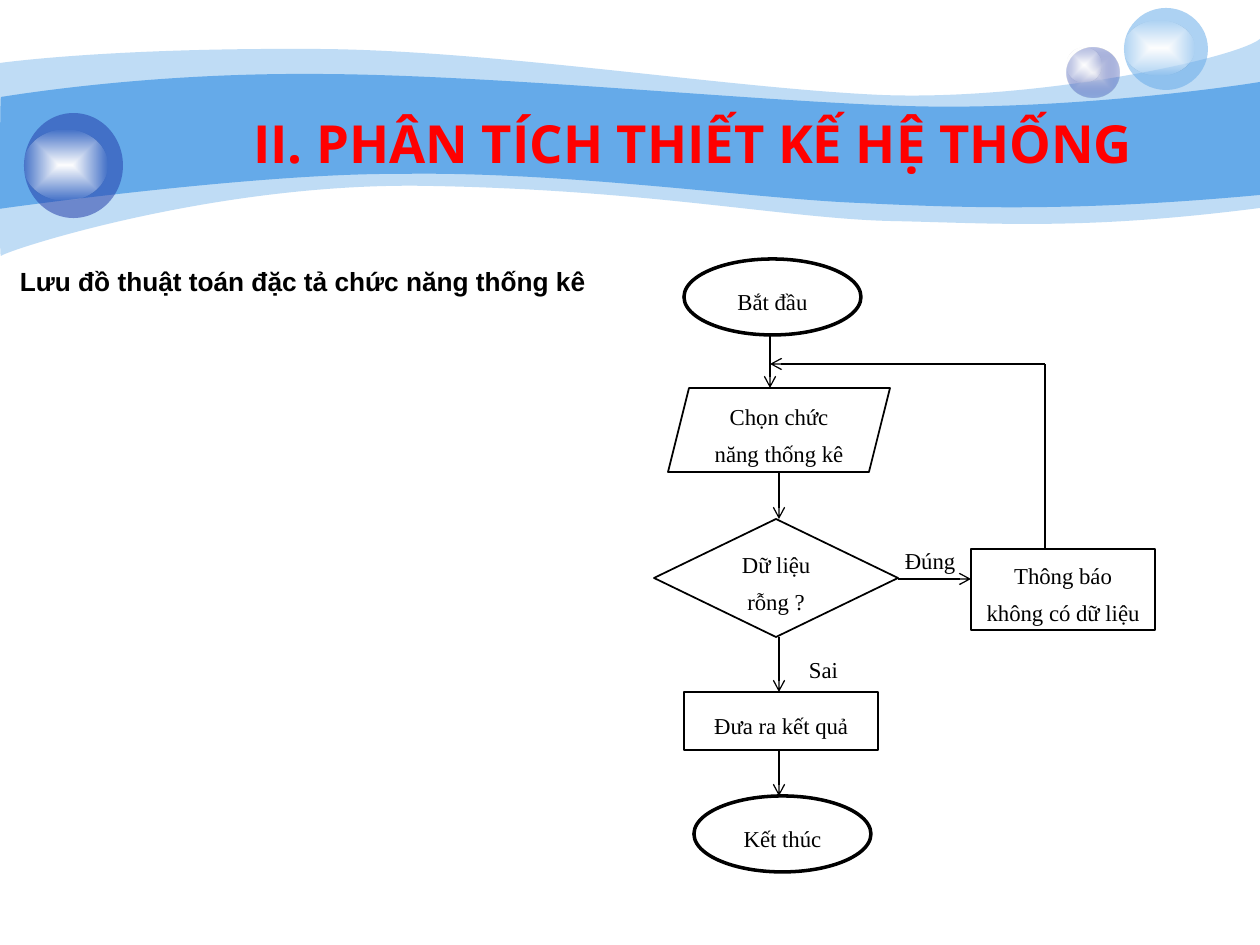
from pptx import Presentation
from pptx.dml.color import RGBColor
from pptx.enum.shapes import MSO_CONNECTOR as LINK, MSO_SHAPE as SHAPE
from pptx.enum.text import MSO_ANCHOR as ANCHOR, PP_ALIGN as ALIGN
from pptx.oxml import parse_xml
from pptx.oxml.ns import nsdecls, qn
from pptx.util import Pt
from lxml.etree import SubElement

SCALE = 914400 / 126
COLORS = {
    "sky": "65AAE9", "navy": "233DA9", "pearl": "E1E2ED",
    "white": "FFFFFF", "black": "000000", "red": "FF0000",
}
BACK_WAVE = [
    [(0, 63), (30, 59), (135, 48), (311, 49), (486, 49), (725, 88), (881, 95),
     (1036, 101), (1235, 59), (1260, 39)],
    [(1260, 208), (1081, 231), (992, 223), (888, 221), (784, 218), (649, 190),
     (432, 186), (217, 181), (5, 251), (1, 256), (-1, 262), (0, 95), (0, 63)],
]
FRONT_WAVE = [
    [(1, 97), (3, 97), (139, 73), (312, 74), (486, 74), (750, 101), (905, 106),
     (1060, 111), (1230, 87), (1260, 82)],
    [(1260, 195), (1075, 212), (964, 208), (859, 203), (755, 199), (563, 171),
     (399, 174), (256, 173), (-3, 209), (-1, 209), (0, 209), (0, 97), (1, 97)],
]
STEPS = [
    (SHAPE.DIAMOND, (654, 519, 244, 118), "Dữ liệu rỗng ?", 1),
    (SHAPE.OVAL, (694, 796, 177, 76), "Kết thúc", 2),
    (SHAPE.OVAL, (684, 259, 177, 76), "Bắt đầu", 2),
    (SHAPE.PARALLELOGRAM, (668, 388, 222, 84), "Chọn chức năng thống kê", 1),
    (SHAPE.RECTANGLE, (890, 540, 80, 32), "Đúng", 0),
    (SHAPE.RECTANGLE, (786, 647, 75, 35), "Sai", 0),
    (SHAPE.RECTANGLE, (971, 549, 184, 81), "Thông báo không có dữ liệu", 1),
    (SHAPE.RECTANGLE, (684, 692, 194, 58), "Đưa ra kết quả", 1),
]
LINKS = [
    ((898, 579), (971, 579), True),
    ((779, 637), (779, 692), True),
    ((770, 334), (770, 388), True),
    ((779, 472), (779, 519), True),
    ((779, 750), (779, 796), True),
    ((1045, 549), (1045, 364), False),
    ((1045, 364), (770, 364), True),
]


def px(*values):
    return [round(value * SCALE) for value in values]


def rgb(name):
    return RGBColor.from_string(COLORS[name])


def paint(shape, color, alpha=100):
    shape.shadow.inherit = False
    shape.line.fill.background()
    shape.fill.solid()
    shape.fill.fore_color.rgb = rgb(color)
    if alpha < 100:
        solid = shape._element.spPr.find(qn("a:solidFill"))
        SubElement(solid[0], qn("a:alpha"), val=str(alpha * 1000))


def paint_radial(shape, center, edge, edge_alpha):
    paint(shape, center)
    solid = shape._element.spPr.find(qn("a:solidFill"))
    gradient = parse_xml(
        f'<a:gradFill {nsdecls("a")} rotWithShape="1"><a:gsLst>'
        f'<a:gs pos="0"><a:srgbClr val="{COLORS[center]}"/></a:gs>'
        f'<a:gs pos="100000"><a:srgbClr val="{COLORS[edge]}">'
        f'<a:alpha val="{edge_alpha * 1000}"/></a:srgbClr></a:gs></a:gsLst>'
        '<a:path path="shape"><a:fillToRect l="50000" t="50000" r="50000" b="50000"/>'
        '</a:path></a:gradFill>')
    solid.getparent().replace(solid, gradient)


def bend(segments):
    for first in range(0, len(segments), 3):
        curve = parse_xml(f'<a:cubicBezTo {nsdecls("a")}/>')
        segments[first].addprevious(curve)
        for segment in segments[first:first + 3]:
            curve.append(segment[0])
            segment.getparent().remove(segment)


def add_wave(page, edges, alpha=100):
    top, bottom = edges
    points = [px(*point) for point in top + bottom]
    builder = page.shapes.build_freeform(*points[0], scale=1.0)
    builder.add_line_segments(points[1:], close=True)
    wave = builder.convert_to_shape()
    segments = list(wave._element.iter(qn("a:lnTo")))
    bend(segments[:len(top) - 1])
    bend(segments[len(top):len(points) - 1])
    paint(wave, "sky", alpha)


def add_ball(page, place):
    return page.shapes.add_shape(SHAPE.OVAL, *px(*place))


def write(shape, text, font="Times New Roman", size=13, color="black", bold=False,
          align=ALIGN.CENTER, anchor=ANCHOR.MIDDLE, spacing=None, gap=None, left=None):
    frame = shape.text_frame
    frame.word_wrap = True
    frame.vertical_anchor = anchor
    if left is not None:
        frame.margin_left = px(left)[0]
    para = frame.paragraphs[0]
    para.alignment = align
    if spacing:
        para.line_spacing = spacing
    if gap:
        para.space_before = para.space_after = Pt(gap)
    span = para.add_run()
    span.text = text
    span.font.name, span.font.size, span.font.bold = font, Pt(size), bold
    span.font.color.rgb = rgb(color)


def add_step(page, kind, place, text, weight):
    box = page.shapes.add_shape(kind, *px(*place))
    paint(box, "white")
    if weight:
        box.line.color.rgb = rgb("black")
        box.line.width = Pt(weight)
    write(box, text, spacing=1.35, gap=3)


def add_link(page, start, end, arrow):
    link = page.shapes.add_connector(LINK.STRAIGHT, *px(*start, *end))
    link.line.color.rgb = rgb("black")
    link.line.width = Pt(0.75)
    if arrow:
        SubElement(link.line._get_or_add_ln(), qn("a:tailEnd"), type="arrow")
    SubElement(link._element.spPr, qn("a:effectLst"))


def add_label(page, place, text, **style):
    write(page.shapes.add_textbox(*px(*place)), text, anchor=ANCHOR.TOP, bold=True, **style)


def main():
    """Build the statistics flowchart slide."""
    deck = Presentation()
    deck.slide_width, deck.slide_height = px(1260, 945)
    page = deck.slides.add_slide(deck.slide_layouts[6])
    add_wave(page, BACK_WAVE, alpha=41)
    add_wave(page, FRONT_WAVE)
    paint_radial(add_ball(page, (1067, 48, 53, 50)), "pearl", "navy", 31)
    paint_radial(add_ball(page, (1067, 48, 35, 34)), "white", "white", 0)
    for ball, glow, color in (
        ((1124, 8, 84, 82), (1124, 21, 70, 54), "sky"),
        ((24, 113, 99, 105), (24, 130, 83, 70), "navy"),
    ):
        paint(add_ball(page, ball), color, 53)
        paint_radial(add_ball(page, glow), "white", "white", 0)
    add_label(page, (0, 259, 756, 44), "Lưu đồ thuật toán đặc tả chức năng thống kê",
              font="Arial", size=15, align=ALIGN.LEFT, left=20)
    for step in STEPS:
        add_step(page, *step)
    for link in LINKS:
        add_link(page, *link)
    add_label(page, (63, 105, 1260, 77), "II. PHÂN TÍCH THIẾT KẾ HỆ THỐNG",
              font="Open Sans", size=30, color="red")
    deck.save("out.pptx")


main()
